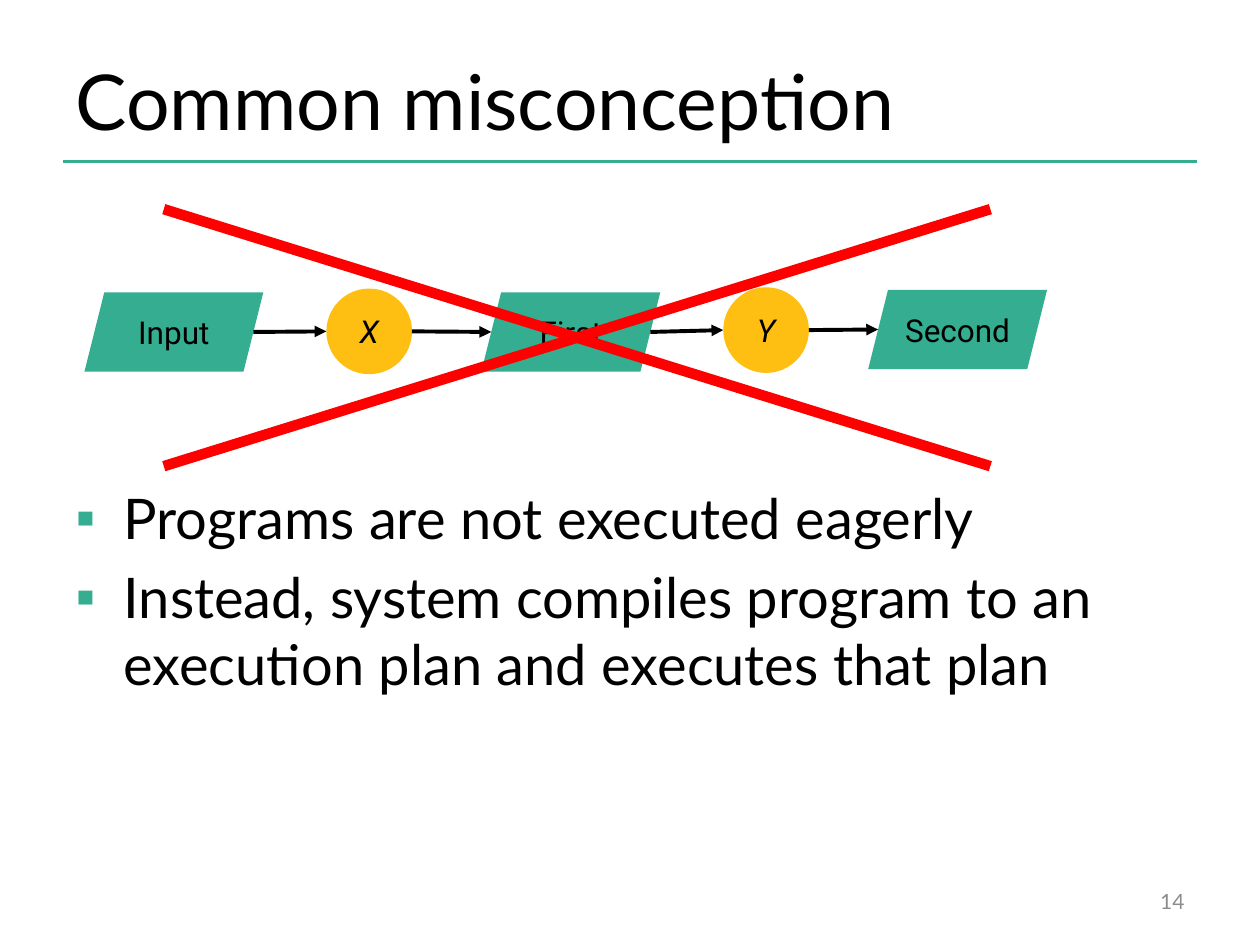
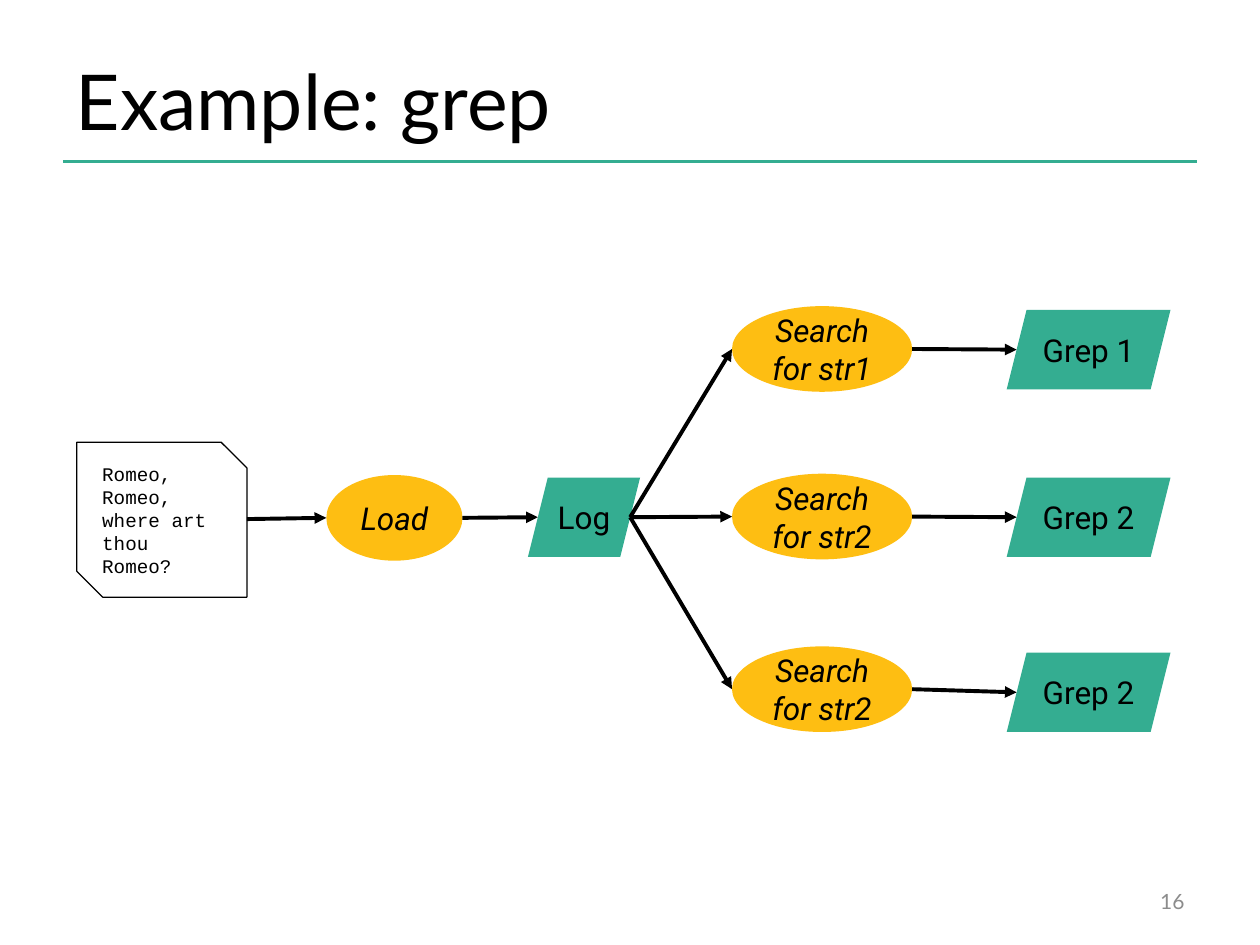
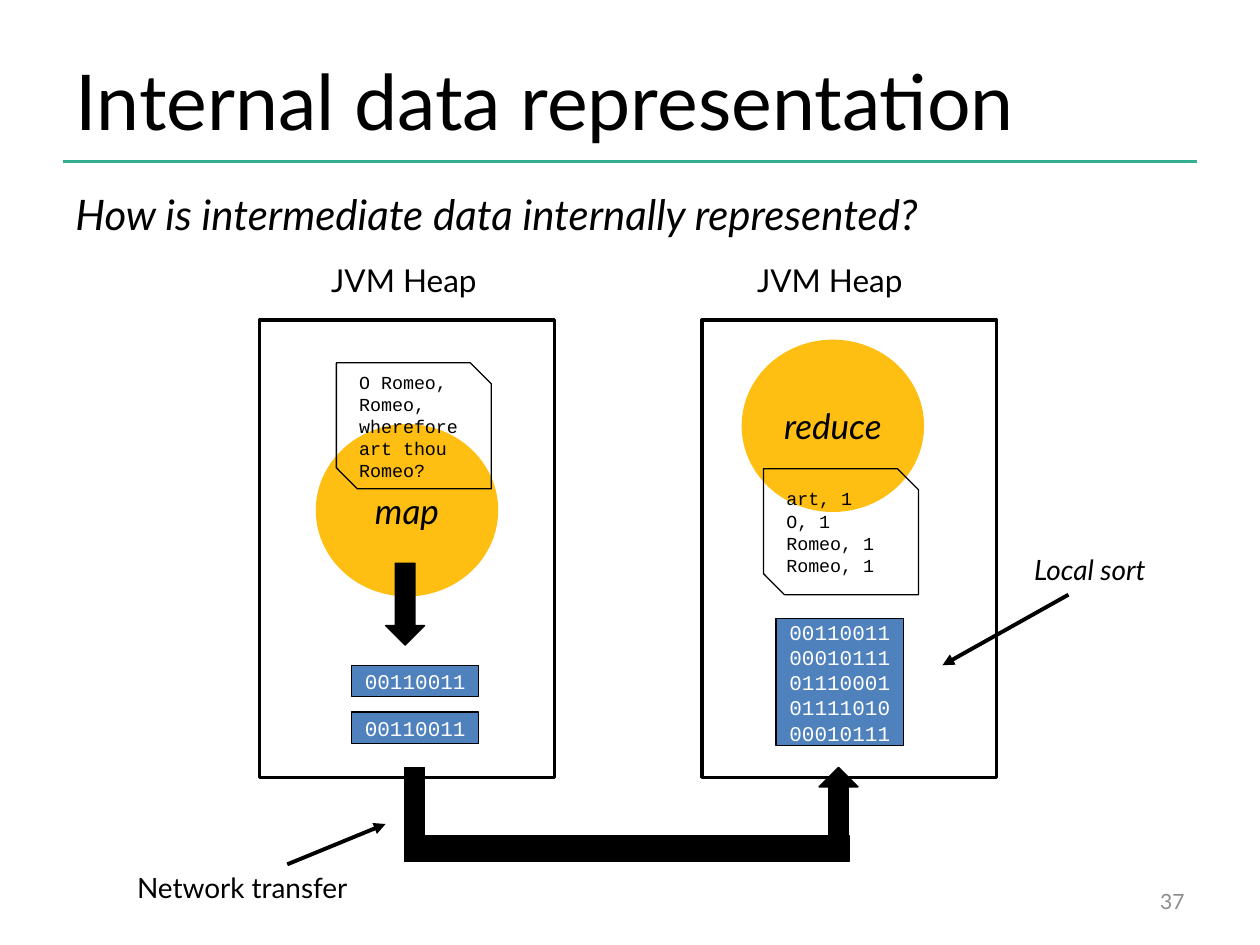
from pptx import Presentation
from pptx.dml.color import RGBColor
from pptx.enum.shapes import MSO_CONNECTOR, MSO_SHAPE
from pptx.enum.text import MSO_ANCHOR, PP_ALIGN
from pptx.oxml.ns import qn
from pptx.util import Inches, Pt
from lxml.etree import SubElement

# Slide size and a grid of 100 columns by 75 rows
WIDTH, HEIGHT = Inches(10), Inches(7.5)
COL, ROW = WIDTH / 100, HEIGHT / 75

# Shared colours and fonts
GREEN, GOLD, BLUE = "34AD91", "FEBE12", "4F81BD"
BLACK, WHITE, GRAY, RED = "000000", "FFFFFF", "8C8C8C", "FF0000"
SANS, LABEL, MONO = "Lato", "Roboto", "Courier New"


def color(code):
    return RGBColor.from_string(code)


def grid(x, y, w, h):
    return round(x * COL), round(y * ROW), round(w * COL), round(h * ROW)


def place(shape, *box):
    shape.left, shape.top, shape.width, shape.height = grid(*box)


def write(shape, text, size, font=SANS, ink=BLACK, italic=False,
          align=PP_ALIGN.LEFT, wrap=True):
    frame = shape.text_frame
    frame.text = text
    frame.word_wrap = wrap
    for para in frame.paragraphs:
        para.alignment = align
        for run in para.runs:
            run.font.size = Pt(size)
            run.font.name = font
            run.font.italic = italic
            run.font.color.rgb = color(ink)


# Basic elements
def block(slide, kind, box, fill=None, line=None, width=0.75):
    shape = slide.shapes.add_shape(kind, *grid(*box))
    shape.shadow.inherit = False
    if fill:
        shape.fill.solid()
        shape.fill.fore_color.rgb = color(fill)
    else:
        shape.fill.background()
    if line:
        shape.line.color.rgb = color(line)
        shape.line.width = Pt(width)
    else:
        shape.line.fill.background()
    return shape


def stroke(slide, start, end, ink=BLACK, width=2.25, head=False):
    ends = [round(v) for v in (start[0] * COL, start[1] * ROW,
                               end[0] * COL, end[1] * ROW)]
    line = slide.shapes.add_connector(MSO_CONNECTOR.STRAIGHT, *ends)
    line.line.color.rgb = color(ink)
    line.line.width = Pt(width)
    if head:
        SubElement(line.line._get_or_add_ln(), qn("a:tailEnd"), type="triangle")
    SubElement(line._element.spPr, qn("a:effectLst"))


def label(slide, text, box, size, italic=False):
    shape = slide.shapes.add_textbox(*grid(*box))
    write(shape, text, size, italic=italic, wrap=False)


# Flow parts: data sets, steps, files and the arrows between them
def data(slide, text, x, mid, wide):
    shape = block(slide, MSO_SHAPE.PARALLELOGRAM, (x, mid - 3.15, wide, 6.3), GREEN)
    write(shape, text, 18, LABEL, align=PP_ALIGN.CENTER, wrap=False)
    return shape


def step(slide, text, x, mid, wide):
    shape = block(slide, MSO_SHAPE.OVAL, (x, mid - 3.4, wide, 6.8), GOLD)
    write(shape, text, 18, LABEL, italic=True, align=PP_ALIGN.CENTER)
    return shape


def note(slide, text, box, size):
    shape = block(slide, MSO_SHAPE.SNIP_2_DIAG_RECTANGLE, box, line=BLACK)
    write(shape, text, size, MONO)


def inset(shape):
    # A parallelogram's side meets its middle half a slant inwards
    slanted = shape.auto_shape_type == MSO_SHAPE.PARALLELOGRAM
    return shape.height / 8 if slanted else 0


def link(slide, src, dest):
    start = ((src.left + src.width - inset(src)) / COL,
             (src.top + src.height / 2) / ROW)
    end = ((dest.left + inset(dest)) / COL, (dest.top + dest.height / 2) / ROW)
    stroke(slide, start, end, head=True)


def chain(slide, *parts):
    for src, dest in zip(parts, parts[1:]):
        link(slide, src, dest)


# Memory parts
def heap(slide, x, name, top, title):
    label(slide, "JVM Heap", (title, 20.2, 13.9, 4), 18)
    block(slide, MSO_SHAPE.RECTANGLE, (x, 25.4, 23.4, 36.3), WHITE, BLACK, 2)
    shape = block(slide, MSO_SHAPE.OVAL, (title - 0.1, top, 14.2, 13.4), GOLD, GOLD, 2)
    write(shape, name, 20, italic=True, align=PP_ALIGN.CENTER, wrap=False)
    frame = shape.text_frame
    frame.margin_left = frame.margin_right = 0
    frame.margin_top = frame.margin_bottom = 0


def bits(slide, text, x, y, high):
    shape = block(slide, MSO_SHAPE.RECTANGLE, (x, y, 10.1, high), BLUE, BLACK)
    write(shape, text, 12, MONO, WHITE, align=PP_ALIGN.CENTER)


def arrow(slide, x, y, turn):
    shape = block(slide, MSO_SHAPE.RIGHT_ARROW, (x, y, 6.5, 3.1), BLACK, BLACK)
    shape.rotation = turn


# Frame that every slide shares
def page(deck, title, number, layout=5):
    slide = deck.slides.add_slide(deck.slide_layouts[layout])
    stroke(slide, (5, 12.8), (95, 12.8), GREEN, 2)
    head = slide.shapes.title
    place(head, 5, 3, 81.7, 9.8)
    write(head, title, 44)
    head.text_frame.vertical_anchor = MSO_ANCHOR.MIDDLE
    foot = slide.shapes.add_textbox(*grid(71.7, 69.5, 23.3, 4))
    write(foot, str(number), 12, ink=GRAY, align=PP_ALIGN.RIGHT)
    foot.text_frame.vertical_anchor = MSO_ANCHOR.MIDDLE
    return slide


def bullets(slide, items, *box):
    body = slide.placeholders[1]
    place(body, *box)
    write(body, "\n".join(items), 32)
    for i, para in enumerate(body.text_frame.paragraphs):
        para.space_before = Pt(6.4 if i else 0)
        props = para._p.get_or_add_pPr()
        props.set("marL", str(Inches(0.38)))
        props.set("indent", str(-Inches(0.38)))
        tint = SubElement(props, qn("a:buClr"))
        SubElement(tint, qn("a:srgbClr"), val=GREEN)
        SubElement(props, qn("a:buFont"), typeface="Arial")
        SubElement(props, qn("a:buChar"), char="▪")


def myth(deck):
    slide = page(deck, "Common misconception", 14, layout=1)
    bullets(slide, ["Programs are not executed eagerly",
                    "Instead, system compiles program to an execution plan "
                    "and executes that plan"], 5, 37.9, 90, 29.1)
    chain(slide,
          data(slide, "Input", 6.7, 26.35, 14.2),
          step(slide, "X", 25.9, 26.3, 6.8),
          data(slide, "First", 38.2, 26.35, 14.2),
          step(slide, "Y", 57.4, 26.2, 6.8),
          data(slide, "Second", 68.9, 26.15, 14.2))
    # Red cross
    left, right, top, low = 13, 78.6, 16.6, 37
    stroke(slide, (left, top), (right, low), RED, 6)
    stroke(slide, (left, low), (right, top), RED, 6)


def grep(deck):
    slide = page(deck, "Example: grep", 16)
    note(slide, "Romeo, Romeo, where art thou Romeo?", (6.1, 35.1, 13.5, 12.3), 11)
    load = step(slide, "Load", 25.9, 41.1, 10.8)
    log = data(slide, "Log", 41.9, 41.05, 8.9)
    stroke(slide, (19.6, 41.2), (25.9, 41.1), head=True)
    link(slide, load, log)
    # One branch per search
    for word, mid, name, end in (("str1", 27.7, "Grep 1", 27.75),
                                 ("str2", 41, "Grep 2", 41.05),
                                 ("str2", 54.7, "Grep 2", 54.95)):
        chain(slide, log, step(slide, f"Search for {word}", 58.1, mid, 14.3),
              data(slide, name, 79.9, end, 13))


def memory(deck):
    slide = page(deck, "Internal data representation", 37)
    label(slide, "How is intermediate data internally represented?",
          (5, 14.5, 76.4, 5), 24, italic=True)
    heap(slide, 20.6, "map", 33.8, 25.3)
    heap(slide, 55.7, "reduce", 27.1, 59.1)
    # Records and their bytes
    note(slide, "O Romeo, Romeo, wherefore art thou Romeo?",
         (26.7, 28.8, 12.3, 10), 10.5)
    note(slide, "art, 1\nO, 1\nRomeo, 1\nRomeo, 1", (60.6, 37.2, 12.3, 10), 10.5)
    for y in (52.8, 56.5):
        bits(slide, "00110011", 27.9, y, 2.5)
    bits(slide, "00110011\n00010111\n01110001\n01111010\n00010111", 61.6, 49.1, 10.1)
    # Path from one heap to the other
    arrow(slide, 28.9, 46.4, 90)
    arrow(slide, 63.3, 62.6, 270)
    for box in ((32.1, 60.9, 1.6, 6.1), (32.1, 66.3, 35.3, 2.1)):
        block(slide, MSO_SHAPE.RECTANGLE, box, BLACK, BLACK)
    # Remarks
    label(slide, "Network transfer", (9.9, 68.6, 19, 3.7), 16)
    stroke(slide, (22.8, 68.6), (30.6, 65.4), head=True)
    label(slide, "Local sort", (81.1, 43.4, 12.2, 3.7), 16, italic=True)
    stroke(slide, (84.8, 47.2), (74.8, 52.8), head=True)


def main():
    deck = Presentation()
    deck.slide_width, deck.slide_height = WIDTH, HEIGHT
    for build in (myth, grep, memory):
        build(deck)
    deck.save("out.pptx")


if __name__ == "__main__":
    main()
